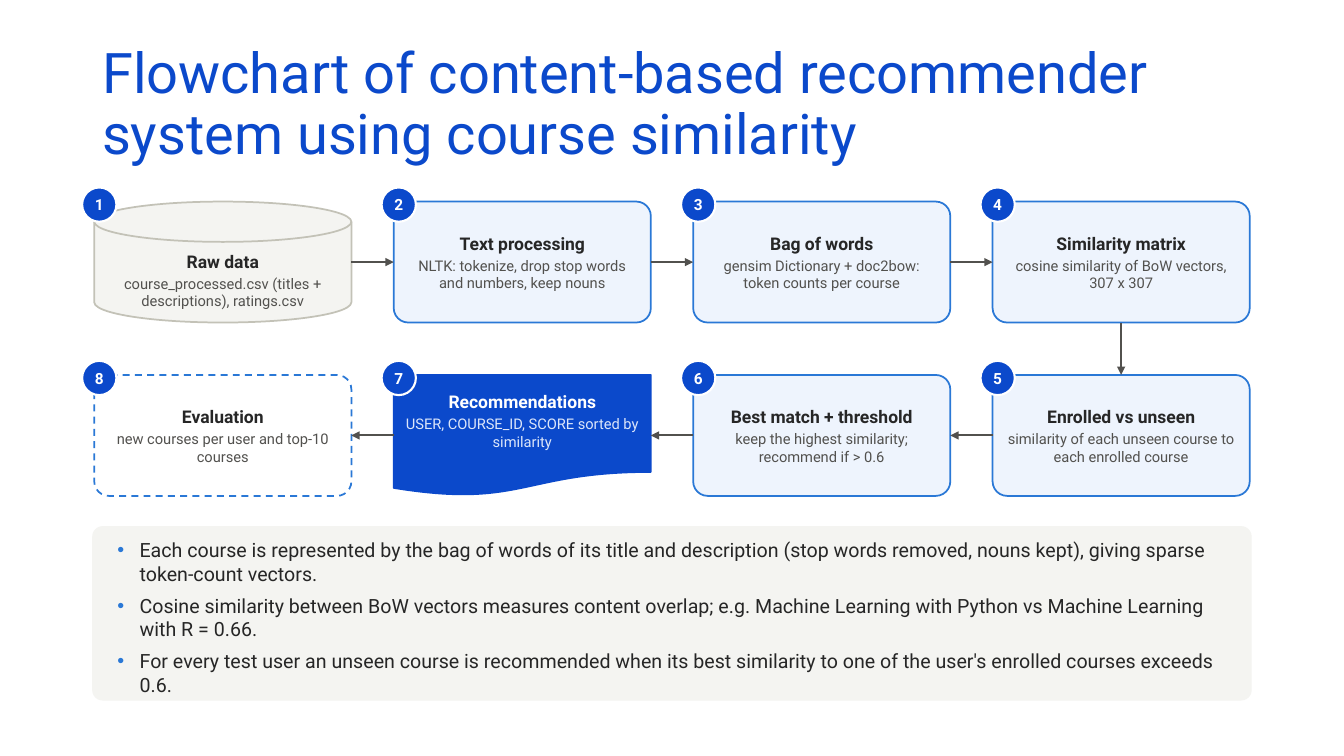
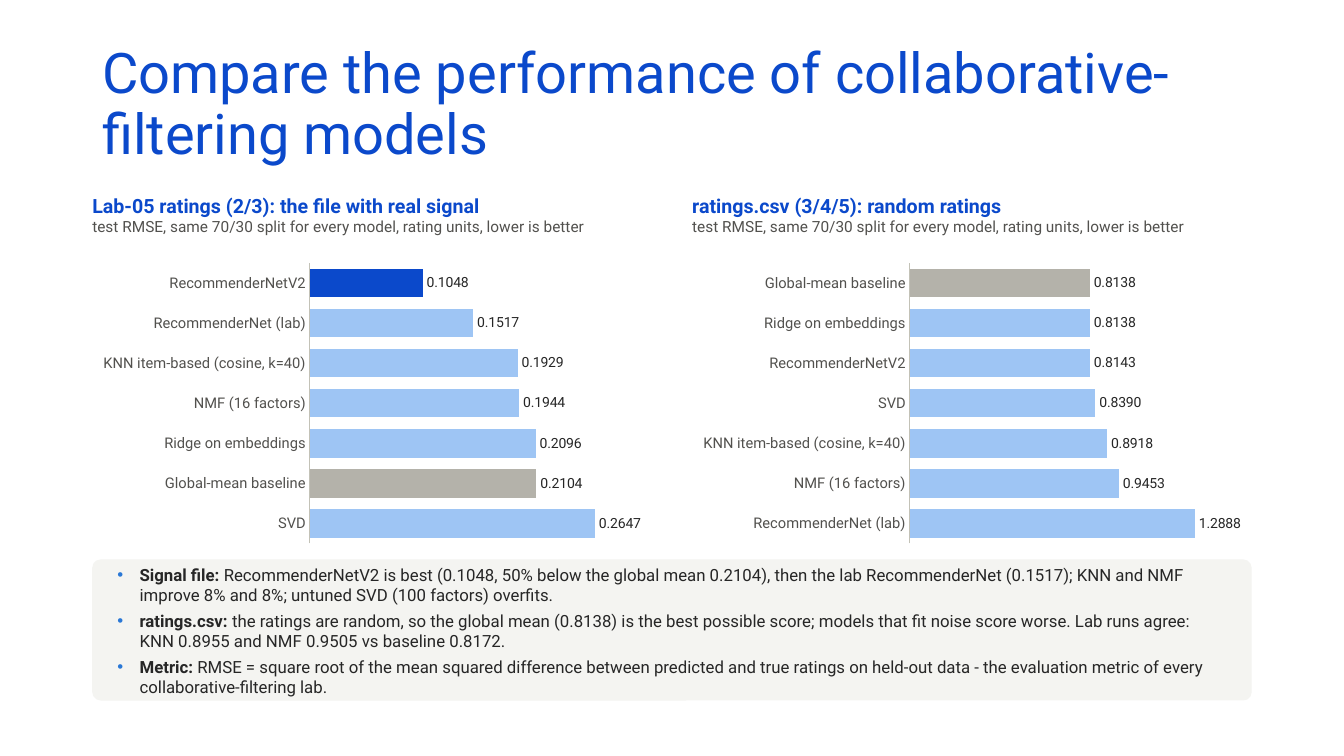
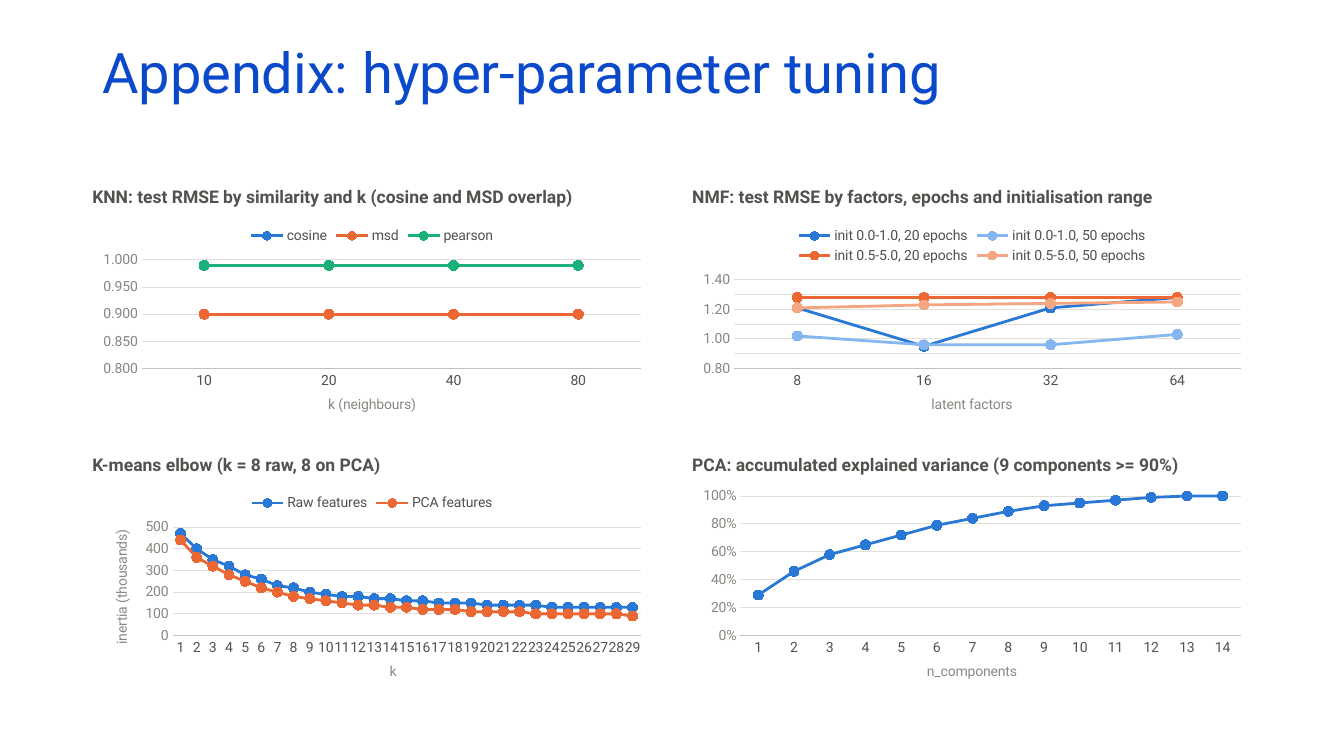
import pptx
import pptx.chart.data
import pptx.dml.color
import pptx.enum.chart
import pptx.enum.dml
import pptx.enum.shapes
import pptx.enum.text
import pptx.oxml
import pptx.oxml.ns
import pptx.util

Inches, Pt = pptx.util.Inches, pptx.util.Pt
SHAPE = pptx.enum.shapes.MSO_SHAPE
CENTER = pptx.enum.text.PP_ALIGN.CENTER
CHART = pptx.enum.chart

# Shared style
FONT = "Roboto"
COLORS = {
    "brand": "0B49CB", "blue": "2A78D6", "mid_blue": "86B6EF", "light_blue": "9EC5F4",
    "card": "EEF4FD", "on_brand": "DCE6FA", "orange": "EB6834", "peach": "F4A582",
    "green": "1BAF7A", "ink": "262626", "body": "52514E", "muted": "898781",
    "panel": "F4F4F1", "axis": "C3C2B7", "grid": "E1E0D9", "baseline": "B4B2AA",
    "white": "FFFFFF",
}
SLIDE_WIDTH, SLIDE_HEIGHT = 13.33, 7.5
WIDTH = 11.5
LEFT = (SLIDE_WIDTH - WIDTH) / 2
HALF_WIDTH, HALF_PITCH = 5.55, 5.95

# Flowchart grid, centred in the content width
CARD_TOP, CARD_W, CARD_H = 2, 2.55, 1.2
COL_PITCH, ROW_PITCH, COLUMNS = 2.97, 1.72, 4
CARD_LEFT = (SLIDE_WIDTH - (COLUMNS - 1) * COL_PITCH - CARD_W) / 2
BADGE_SIZE = 0.34

STEPS = [
    ("Raw data", "course_processed.csv (titles + descriptions), ratings.csv", "store"),
    ("Text processing", "NLTK: tokenize, drop stop words and numbers, keep nouns", "step"),
    ("Bag of words", "gensim Dictionary + doc2bow: token counts per course", "step"),
    ("Similarity matrix", "cosine similarity of BoW vectors, 307 x 307", "step"),
    ("Enrolled vs unseen", "similarity of each unseen course to each enrolled course", "step"),
    ("Best match + threshold", "keep the highest similarity; recommend if > 0.6", "step"),
    ("Recommendations", "USER, COURSE_ID, SCORE sorted by similarity", "result"),
    ("Evaluation", "new courses per user and top-10 courses", "check"),
]
# shape, fill, line, heading colour, detail colour, top inset, bottom inset
CARD_STYLES = {
    "store": (SHAPE.FLOWCHART_MAGNETIC_DISK, "panel", "axis", "ink", "body", 0.22, 0.06),
    "step": (SHAPE.ROUNDED_RECTANGLE, "card", "blue", "ink", "body", 0.06, 0.06),
    "result": (SHAPE.FLOWCHART_DOCUMENT, "brand", "brand", "white", "on_brand", 0.06, 0.12),
    "check": (SHAPE.ROUNDED_RECTANGLE, "white", "blue", "ink", "body", 0.06, 0.06),
}
FLOW_NOTES = [
    ("", "Each course is represented by the bag of words of its title and description "
         "(stop words removed, nouns kept), giving sparse token-count vectors."),
    ("", "Cosine similarity between BoW vectors measures content overlap; e.g. Machine "
         "Learning with Python vs Machine Learning with R = 0.66."),
    ("", "For every test user an unseen course is recommended when its best similarity "
         "to one of the user's enrolled courses exceeds 0.6."),
]

# Model comparison: heading, RMSE per model, highlighted bars
COMPARISONS = [
    ("Lab-05 ratings (2/3): the file with real signal", {
        "RecommenderNetV2": 0.1048, "RecommenderNet (lab)": 0.1517,
        "KNN item-based (cosine, k=40)": 0.1929, "NMF (16 factors)": 0.1944,
        "Ridge on embeddings": 0.2096, "Global-mean baseline": 0.2104, "SVD": 0.2647,
    }, {"RecommenderNetV2": "brand", "Global-mean baseline": "baseline"}),
    ("ratings.csv (3/4/5): random ratings", {
        "Global-mean baseline": 0.8138, "Ridge on embeddings": 0.8138,
        "RecommenderNetV2": 0.8143, "SVD": 0.8390,
        "KNN item-based (cosine, k=40)": 0.8918, "NMF (16 factors)": 0.9453,
        "RecommenderNet (lab)": 1.2888,
    }, {"Global-mean baseline": "baseline"}),
]
LABEL_ROOM = 1.16  # axis length relative to the longest bar
METRIC_NOTE = "test RMSE, same 70/30 split for every model, rating units, lower is better"
MODEL_NOTES = [
    ("Signal file: ", "RecommenderNetV2 is best (0.1048, 50% below the global mean 0.2104), "
     "then the lab RecommenderNet (0.1517); KNN and NMF improve 8% and 8%; untuned SVD "
     "(100 factors) overfits."),
    ("ratings.csv: ", "the ratings are random, so the global mean (0.8138) is the best "
     "possible score; models that fit noise score worse. Lab runs agree: KNN 0.8955 and "
     "NMF 0.9505 vs baseline 0.8172."),
    ("Metric: ", "RMSE = square root of the mean squared difference between predicted and "
     "true ratings on held-out data - the evaluation metric of every "
     "collaborative-filtering lab."),
]

# Tuning charts, in reading order; series are (name, colour, values)
TUNING = [
    dict(heading="KNN: test RMSE by similarity and k (cosine and MSD overlap)",
         categories=[10, 20, 40, 80], x_title="k (neighbours)", number_format="0.000",
         scale=(0.8, 1), step=0.05, series=[
             ("cosine", "blue", [0.9, 0.9, 0.9, 0.9]),
             ("msd", "orange", [0.9, 0.9, 0.9, 0.9]),
             ("pearson", "green", [0.99, 0.99, 0.99, 0.99])]),
    dict(heading="NMF: test RMSE by factors, epochs and initialisation range",
         categories=[8, 16, 32, 64], x_title="latent factors", number_format="0.00",
         scale=(0.8, 1.4), series=[
             ("init 0.0-1.0, 20 epochs", "blue", [1.21, 0.95, 1.21, 1.28]),
             ("init 0.0-1.0, 50 epochs", "mid_blue", [1.02, 0.96, 0.96, 1.03]),
             ("init 0.5-5.0, 20 epochs", "orange", [1.28, 1.28, 1.28, 1.28]),
             ("init 0.5-5.0, 50 epochs", "peach", [1.21, 1.23, 1.24, 1.25])]),
    dict(heading="K-means elbow (k = 8 raw, 8 on PCA)",
         categories=range(1, 30), x_title="k", number_format="0",
         y_title="inertia (thousands)", series=[
             ("Raw features", "blue",
              [470, 400, 350, 320, 280, 260, 230, 220, 200, 190, 180, 180, 170, 170, 160,
               160, 150, 150, 150, 140, 140, 140, 140, 130, 130, 130, 130, 130, 130]),
             ("PCA features", "orange",
              [440, 360, 320, 280, 250, 220, 200, 180, 170, 160, 150, 140, 140, 130, 130,
               120, 120, 120, 110, 110, 110, 110, 100, 100, 100, 100, 100, 100, 90])]),
    dict(heading="PCA: accumulated explained variance (9 components >= 90%)",
         categories=range(1, 15), x_title="n_components", number_format="0%",
         scale=(0, 1), series=[
             ("Series 1", "blue", [0.29, 0.46, 0.58, 0.65, 0.72, 0.79, 0.84, 0.89, 0.93,
                                   0.95, 0.97, 0.99, 1, 1])]),
]


def rgb(color):
    return pptx.dml.color.RGBColor.from_string(COLORS[color])


def style_font(font, size, color, bold=False):
    font.name, font.size, font.bold = FONT, Pt(size), bold
    font.color.rgb = rgb(color)


def box(left, top, width, height):
    return [Inches(length) for length in (left, top, width, height)]


# Text
def set_insets(frame, left, top, right, bottom):
    frame.margin_left, frame.margin_top = Inches(left), Inches(top)
    frame.margin_right, frame.margin_bottom = Inches(right), Inches(bottom)


def write_lines(frame, lines, align=None, gap=0):
    """Write (text, size, colour, bold) lines, with a gap after the first."""
    for index, (text, size, color, bold) in enumerate(lines):
        paragraph = frame.paragraphs[0] if index == 0 else frame.add_paragraph()
        paragraph.text = text
        paragraph.alignment = align
        if gap and index == 0:
            paragraph.space_after = Pt(gap)
        style_font(paragraph.runs[0].font, size, color, bold)


def add_text_area(slide, left, top, width, height):
    frame = slide.shapes.add_textbox(*box(left, top, width, height)).text_frame
    frame.word_wrap = True
    frame.auto_size = pptx.enum.text.MSO_AUTO_SIZE.SHAPE_TO_FIT_TEXT
    set_insets(frame, 0, 0, 0, 0)
    return frame


def add_titled_slide(deck, title):
    slide = deck.slides.add_slide(deck.slide_layouts[6])
    frame = slide.shapes.add_textbox(*box(LEFT, 0.4, WIDTH, 1.45)).text_frame
    frame.word_wrap = True
    write_lines(frame, [(title, 40, "brand", False)])
    frame.paragraphs[0].line_spacing = 0.9
    return slide


def add_bullet(paragraph):
    properties = paragraph._p.get_or_add_pPr()
    properties.set("marL", str(Inches(0.22)))
    properties.set("indent", str(-Inches(0.22)))
    namespace = pptx.oxml.ns.nsdecls("a")
    for xml in (f'<a:buClr {namespace}><a:srgbClr val="{COLORS["blue"]}"/></a:buClr>',
                f'<a:buFont {namespace} typeface="Arial"/>',
                f'<a:buChar {namespace} char="•"/>'):
        properties.append(pptx.oxml.parse_xml(xml))


def add_notes_panel(slide, notes, top, height, padding, size, gap):
    add_filled_shape(slide, SHAPE.ROUNDED_RECTANGLE, (LEFT, top, WIDTH, height),
                     "panel", corner=0.06)
    frame = add_text_area(slide, LEFT + 0.25, top + padding, WIDTH - 0.5,
                          height - 2 * padding)
    for index, (lead, body) in enumerate(notes):
        paragraph = frame.paragraphs[0] if index == 0 else frame.add_paragraph()
        add_bullet(paragraph)
        paragraph.space_after = Pt(gap)
        for text, bold in ((lead, True), (body, False)):
            if text:
                run = paragraph.add_run()
                run.text = text
                style_font(run.font, size, "ink", bold)


# Shapes
def add_filled_shape(slide, kind, place, fill, line=None, line_width=1.25, corner=None):
    shape = slide.shapes.add_shape(kind, *box(*place))
    shape.shadow.inherit = False
    shape.fill.solid()
    shape.fill.fore_color.rgb = rgb(fill)
    if line:
        shape.line.color.rgb = rgb(line)
        shape.line.width = Pt(line_width)
    else:
        shape.line.fill.background()
    if corner:
        shape.adjustments[0] = corner
    shape.text_frame.word_wrap = True
    shape.text_frame.vertical_anchor = pptx.enum.text.MSO_ANCHOR.MIDDLE
    return shape


def card_position(index):
    """The first row runs rightwards, the second one back."""
    row, column = divmod(index, COLUMNS)
    if row % 2:
        column = COLUMNS - 1 - column
    return CARD_LEFT + column * COL_PITCH, CARD_TOP + row * ROW_PITCH


def add_step_card(slide, index, heading, detail, style):
    kind, fill, line, heading_color, detail_color, inset_top, inset_bottom = CARD_STYLES[style]
    left, top = card_position(index)
    corner = 0.12 if kind == SHAPE.ROUNDED_RECTANGLE else None
    card = add_filled_shape(slide, kind, (left, top, CARD_W, CARD_H), fill, line, corner=corner)
    if style == "check":
        card.line.dash_style = pptx.enum.dml.MSO_LINE.DASH
    set_insets(card.text_frame, 0.1, inset_top, 0.1, inset_bottom)
    write_lines(card.text_frame, [(heading, 12.5, heading_color, True),
                                  (detail, 10.5, detail_color, False)], CENTER, gap=2)
    badge = add_filled_shape(slide, SHAPE.OVAL,
                             (left - 0.12, top - 0.14, BADGE_SIZE, BADGE_SIZE),
                             "brand", "white", 1.5)
    set_insets(badge.text_frame, 0, 0, 0, 0)
    write_lines(badge.text_frame, [(str(index + 1), 11, "white", True)], CENTER)


def add_step_arrow(slide, index):
    """Arrow from one card's edge to the facing edge of the next."""
    (left, top), (next_left, next_top) = card_position(index), card_position(index + 1)
    middle = top + CARD_H / 2
    if next_left > left:
        ends = (left + CARD_W, middle, next_left, middle)
    elif next_left < left:
        ends = (left, middle, next_left + CARD_W, middle)
    else:
        center = left + CARD_W / 2
        ends = (center, top + CARD_H, center, next_top)
    arrow = slide.shapes.add_connector(pptx.enum.shapes.MSO_CONNECTOR.STRAIGHT, *box(*ends))
    arrow.line.color.rgb = rgb("body")
    arrow.line.width = Pt(1.5)
    namespace = pptx.oxml.ns.nsdecls("a")
    arrow.line._get_or_add_ln().append(
        pptx.oxml.parse_xml(f'<a:tailEnd {namespace} type="triangle"/>'))
    arrow._element.spPr.append(pptx.oxml.parse_xml(f"<a:effectLst {namespace}/>"))


# Charts
def add_styled_chart(slide, kind, place, categories, series, number_format, size):
    data = pptx.chart.data.CategoryChartData(number_format=number_format)
    data.categories = [str(category) for category in categories]
    for name, _, values in series:
        data.add_series(name, values)
    chart = slide.shapes.add_chart(kind, *box(*place), data).chart
    style_font(chart.font, size, "body")
    chart.has_title = chart.has_legend = False
    chart.plots[0].vary_by_categories = False
    axis = chart.category_axis
    axis.major_tick_mark = CHART.XL_TICK_MARK.NONE
    axis.format.line.color.rgb = rgb("axis")
    axis.format.line.width = Pt(0.75)
    style_font(axis.tick_labels.font, size, "body")
    return chart


def title_axis(axis, text):
    axis.axis_title.text_frame.text = text
    style_font(axis.axis_title.text_frame.paragraphs[0].runs[0].font, 10, "muted")


def add_rmse_bars(slide, left, scores, highlights):
    chart = add_styled_chart(slide, CHART.XL_CHART_TYPE.BAR_CLUSTERED,
                             (left, 2.55, HALF_WIDTH, 2.9), scores,
                             [("Series 1", "light_blue", scores.values())], "0.0000", 10.5)
    chart.category_axis.reverse_order = True
    axis = chart.value_axis
    axis.minimum_scale, axis.maximum_scale = 0, max(scores.values()) * LABEL_ROOM
    axis.has_major_gridlines = axis.visible = False
    plot = chart.plots[0]
    plot.gap_width = 40
    bars = plot.series[0]
    bars.format.fill.solid()
    bars.format.fill.fore_color.rgb = rgb("light_blue")
    for index, model in enumerate(scores):
        if model in highlights:
            fill = bars.points[index].format.fill
            fill.solid()
            fill.fore_color.rgb = rgb(highlights[model])
    labels = bars.data_labels
    labels.show_value = True
    labels.position = CHART.XL_LABEL_POSITION.OUTSIDE_END
    labels.number_format, labels.number_format_is_linked = "0.0000", False
    style_font(labels.font, 10, "ink")


def add_tuning_lines(slide, left, top, heading, categories, x_title, number_format,
                     series, scale=None, step=None, y_title=None):
    write_lines(add_text_area(slide, left, top, HALF_WIDTH, 0.3),
                [(heading, 12.5, "body", True)])
    chart = add_styled_chart(slide, CHART.XL_CHART_TYPE.LINE_MARKERS,
                             (left, top + 0.3, HALF_WIDTH, 2.15), categories, series,
                             number_format, 10)
    title_axis(chart.category_axis, x_title)
    axis = chart.value_axis
    if scale:
        axis.minimum_scale, axis.maximum_scale = scale
    if step:
        axis.major_unit = step
    if y_title:
        title_axis(axis, y_title)
    axis.major_tick_mark = CHART.XL_TICK_MARK.NONE
    axis.format.line.fill.background()
    axis.major_gridlines.format.line.color.rgb = rgb("grid")
    axis.major_gridlines.format.line.width = Pt(0.75)
    axis.tick_labels.number_format = number_format
    axis.tick_labels.number_format_is_linked = False
    style_font(axis.tick_labels.font, 10, "muted")
    if len(series) > 1:
        chart.has_legend = True
        chart.legend.position = CHART.XL_LEGEND_POSITION.TOP
        chart.legend.include_in_layout = False
        style_font(chart.legend.font, 10, "body")
    for curve, (_, color, _) in zip(chart.plots[0].series, series):
        curve.smooth = False
        curve.format.line.color.rgb = rgb(color)
        curve.format.line.width = Pt(2)
        marker = curve.marker
        marker.style, marker.size = CHART.XL_MARKER_STYLE.CIRCLE, 7
        marker.format.fill.solid()
        marker.format.fill.fore_color.rgb = rgb(color)
        marker.format.line.color.rgb = rgb(color)


# Slides
def build_flowchart(deck):
    slide = add_titled_slide(
        deck, "Flowchart of content-based recommender system using course similarity")
    for index, step in enumerate(STEPS):
        add_step_card(slide, index, *step)
    for index in range(len(STEPS) - 1):
        add_step_arrow(slide, index)
    add_notes_panel(slide, FLOW_NOTES, 5.22, 1.73, 0.12, size=14, gap=6)


def build_comparison(deck):
    slide = add_titled_slide(deck, "Compare the performance of collaborative-filtering models")
    for index, (heading, scores, highlights) in enumerate(COMPARISONS):
        left = LEFT + index * HALF_PITCH
        write_lines(add_text_area(slide, left, 1.92, HALF_WIDTH, 0.6),
                    [(heading, 14, "brand", True), (METRIC_NOTE, 11, "body", False)])
        add_rmse_bars(slide, left, scores, highlights)
    add_notes_panel(slide, MODEL_NOTES, 5.55, 1.4, 0.05, size=12, gap=4)


def build_tuning(deck):
    slide = add_titled_slide(deck, "Appendix: hyper-parameter tuning")
    for index, tuning in enumerate(TUNING):
        row, column = divmod(index, 2)
        add_tuning_lines(slide, LEFT + column * HALF_PITCH, 1.85 + row * 2.65, **tuning)


def main():
    deck = pptx.Presentation()
    deck.slide_width, deck.slide_height = Inches(SLIDE_WIDTH), Inches(SLIDE_HEIGHT)
    build_flowchart(deck)
    build_comparison(deck)
    build_tuning(deck)
    deck.save("out.pptx")


if __name__ == "__main__":
    main()
